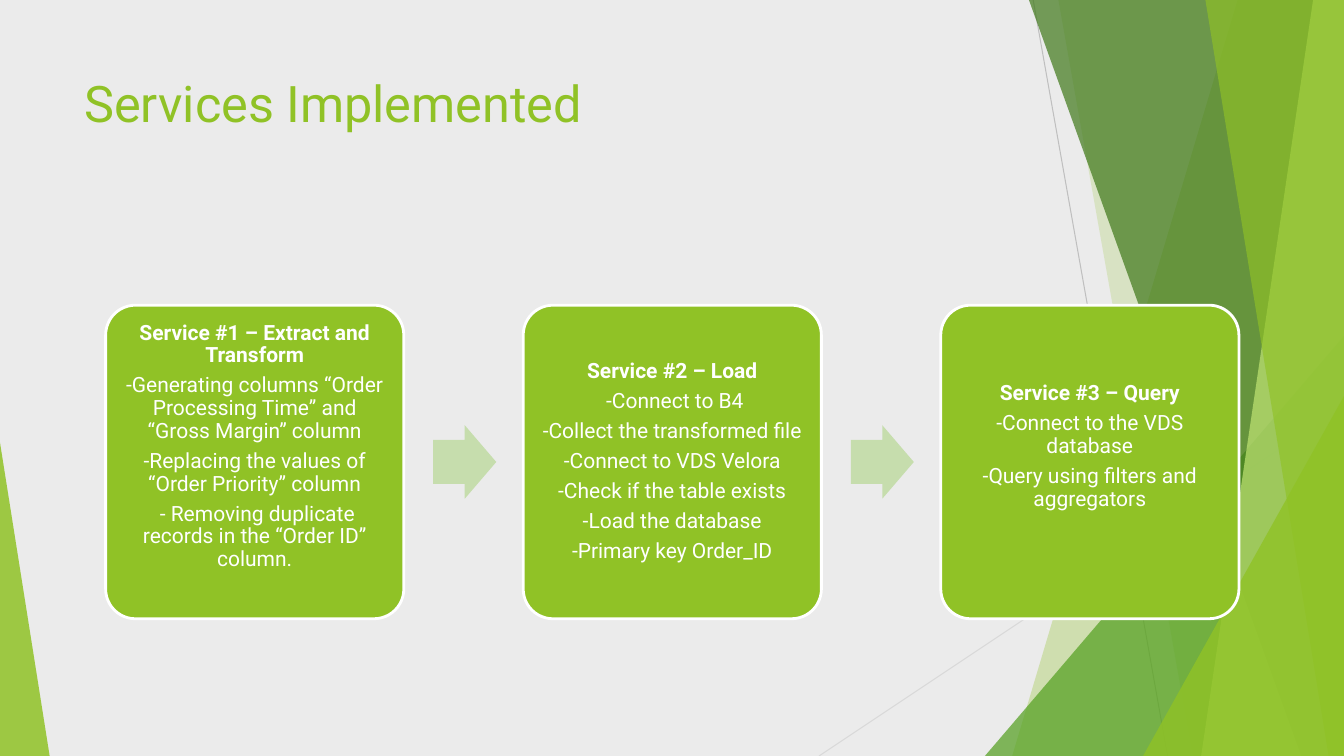
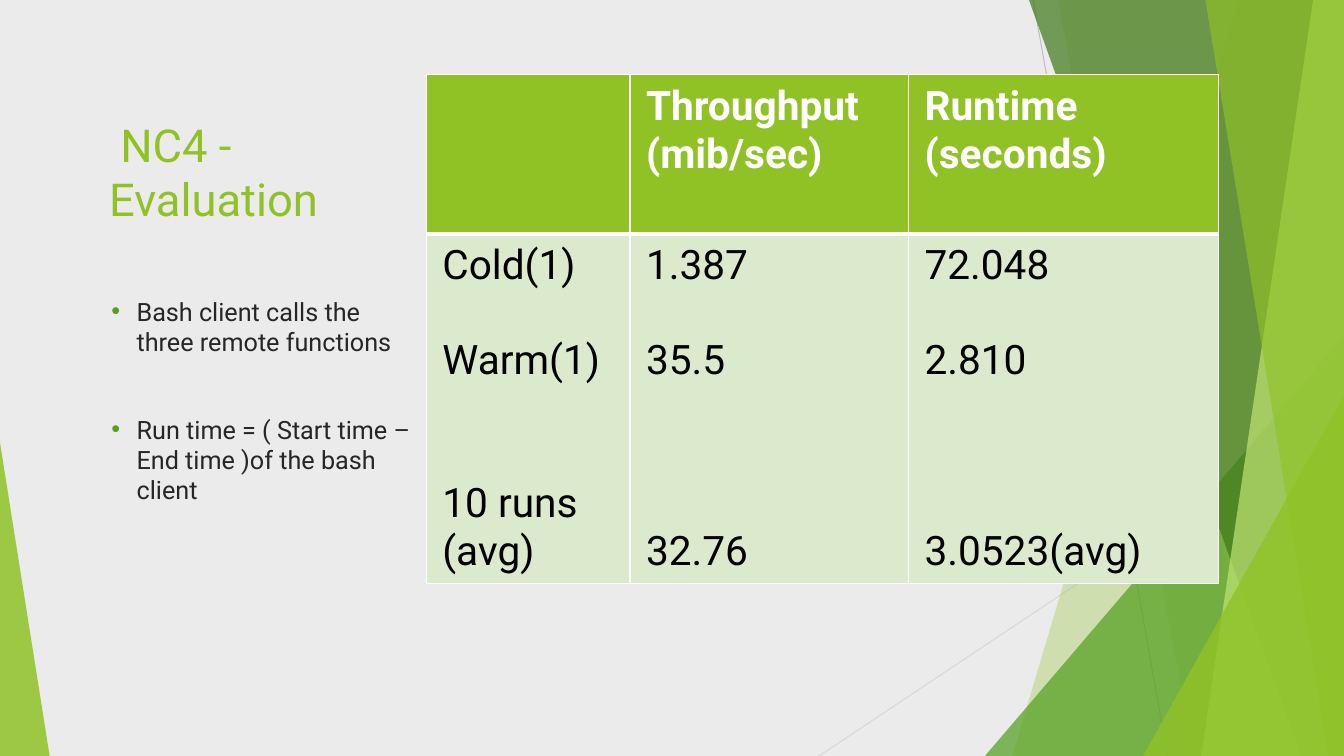
import lxml.etree
import pptx
import pptx.dml.color
import pptx.enum.shapes
import pptx.enum.text
import pptx.oxml
import pptx.oxml.ns
import pptx.util

Pt = pptx.util.Pt
qn = pptx.oxml.ns.qn
SHAPE = pptx.enum.shapes.MSO_SHAPE
ALIGN = pptx.enum.text.PP_ALIGN
ANCHOR = pptx.enum.text.MSO_ANCHOR

WIDTH, HEIGHT = 960, 540
FONT = "Roboto"
COLORS = {
    "background": "EBEBEB",
    "lime": "90C226",
    "green": "54A021",
    "forest": "3F7819",
    "pale": "C0E474",
    "arrow": "C6DDAD",
    "cell": "DBE9CD",
    "white": "FFFFFF",
    "black": "000000",
    "body": "262626",
    "ray": "BFBFBF",
    "faint ray": "D9D9D9",
}

RAYS = [((738, 0), (834, HEIGHT), "ray"),
        ((WIDTH, 290), (585, HEIGHT), "faint ray")]
# Facets: (top x, bottom x) of a panel reaching the right edge, or
# (left, top, width, apex) of a triangle standing on the bottom edge.
FACETS = [
    ((884, 723), "lime", 30),
    ((756, 852), "lime", 20),
    ((703.5, 240, 256.5, 1), "green", 72),
    ((735, 929.5), "forest", 70),
    ((938, 858), "pale", 70),
    ((861, 949), "lime", 65),
    ((816.5, 283, 143.5, 1), "lime", 80),
    ((0, 316, 35.5, 0), "lime", 85),
]

# Heading, steps, extra space kept free at the bottom of the card
SERVICES = [
    ("Service #1 – Extract and Transform",
     ["-Generating columns “Order Processing Time” and “Gross Margin” column",
      "-Replacing the values of “Order Priority” column",
      " - Removing duplicate records in the “Order ID” column."], 22),
    ("Service #2 – Load",
     [" -Connect to B4", "-Collect the transformed file",
      "-Connect to VDS Velora", "-Check if the table exists",
      "-Load the database", "-Primary key Order_ID"], 0),
    ("Service #3 – Query",
     ["-Connect to the VDS database",
      "-Query using filters and aggregators"], 22),
]

# Each cell holds (text, lines of space before it)
RESULTS = [
    [[], [("Throughput (mib/sec)", 0)], [("Runtime (seconds)", 0)]],
    [[("Cold(1)", 0), ("Warm(1)", 1), ("10 runs", 2), ("(avg)", 0)],
     [("1.387", 0), ("35.5", 1), ("32.76", 3)],
     [("72.048", 0), ("2.810", 1), ("3.0523(avg)", 3)]],
]
COLUMN_WIDTHS = [145.5, 199, 221.5]
ROW_HEIGHTS = [113.5, 250]

NOTES = [("Bash client calls the three remote functions", 0),
         ("Run time = ( Start time – End time )of the bash client", 41)]


def rgb(color):
    return pptx.dml.color.RGBColor.from_string(COLORS[color])


def apply(target, formats):
    for key, value in formats.items():
        setattr(target, key, value)


def points(*lengths):
    return [Pt(length) for length in lengths]


def margins(left, top, right, bottom):
    return {"margin_left": Pt(left), "margin_top": Pt(top),
            "margin_right": Pt(right), "margin_bottom": Pt(bottom)}


def fill(target, color):
    target.fill.solid()
    target.fill.fore_color.rgb = rgb(color)


def write(frame, index, text, size, color, bold=False, **formats):
    """Put text into paragraph number index, adding it when needed."""
    paragraph = frame.paragraphs[0] if index == 0 else frame.add_paragraph()
    apply(paragraph, formats)
    run = paragraph.add_run()
    run.text = text
    apply(run.font, {"name": FONT, "size": Pt(size), "bold": bold})
    run.font.color.rgb = rgb(color)
    return paragraph


def plain(shape, color):
    shape.shadow.inherit = False
    fill(shape, color)
    shape.line.fill.background()
    return shape


def add_ray(slide, start, end, color):
    ray = slide.shapes.add_connector(
        pptx.enum.shapes.MSO_CONNECTOR.STRAIGHT, *points(*start, *end))
    ray.line.color.rgb = rgb(color)
    ray.line.width = Pt(0.75)
    lxml.etree.SubElement(ray.element.spPr, qn("a:effectLst"))


def add_facet(slide, outline, color, opacity):
    if len(outline) == 2:
        top_x, bottom_x = outline
        builder = slide.shapes.build_freeform(*points(top_x, 0), scale=1.0)
        builder.add_line_segments(
            [points(WIDTH, 0), points(WIDTH, HEIGHT), points(bottom_x, HEIGHT)])
        facet = builder.convert_to_shape()
    else:
        left, top, width, apex = outline
        facet = slide.shapes.add_shape(
            SHAPE.ISOSCELES_TRIANGLE, *points(left, top, width, HEIGHT - top))
        facet.adjustments[0] = apex
    plain(facet, color)
    tone = facet.element.spPr.find(".//" + qn("a:srgbClr"))
    lxml.etree.SubElement(tone, qn("a:alpha")).set("val", str(opacity * 1000))


def add_titled_slide(deck, title, box, size, anchor, inset):
    slide = deck.slides.add_slide(deck.slide_layouts[5])
    for ray in RAYS:
        add_ray(slide, *ray)
    for facet in FACETS:
        add_facet(slide, *facet)
    heading = slide.shapes.title
    apply(heading, dict(zip(("left", "top", "width", "height"), points(*box))))
    frame = heading.text_frame
    apply(frame, {"word_wrap": True, "vertical_anchor": anchor,
                  "auto_size": pptx.enum.text.MSO_AUTO_SIZE.NONE,
                  **margins(*inset)})
    write(frame, 0, title, size, "lime", alignment=ALIGN.LEFT)
    return slide


def add_service_card(slide, box, heading, steps, spare):
    card = plain(slide.shapes.add_shape(
        SHAPE.ROUNDED_RECTANGLE, *points(*box)), "lime")
    card.adjustments[0] = 0.1
    card.line.color.rgb = rgb("white")
    card.line.width = Pt(2)
    frame = card.text_frame
    apply(frame, {"word_wrap": True, "vertical_anchor": ANCHOR.MIDDLE,
                  **margins(4, 4, 4, 4 + spare)})
    for index, text in enumerate([heading, *steps]):
        write(frame, index, text, 15, "white", bold=index == 0,
              alignment=ALIGN.CENTER, line_spacing=0.9, space_after=Pt(5.25))


def add_service_flow(slide, left, top, width, height):
    """Spread the cards over the box, with an arrow in each gap."""
    card_width, arrow_width, arrow_height = 213, 45, 52.5
    pitch = (width - card_width) / (len(SERVICES) - 1)
    for index, service in enumerate(SERVICES):
        x = left + index * pitch
        add_service_card(slide, (x, top, card_width, height), *service)
        if index < len(SERVICES) - 1:
            arrow = plain(slide.shapes.add_shape(SHAPE.RIGHT_ARROW, *points(
                x + card_width + 21, top + (height - arrow_height) / 2,
                arrow_width, arrow_height)), "arrow")
            arrow.adjustments[0] = 0.6
            # The arrow head takes half of the height.
            arrow.adjustments[1] = 0.5


def add_cell_borders(cell, widths):
    properties = cell._tc.get_or_add_tcPr()
    for side, width in zip("LRTB", widths):
        border = lxml.etree.SubElement(properties, qn("a:ln" + side))
        border.set("w", str(int(Pt(width))))
        paint = lxml.etree.SubElement(border, qn("a:solidFill"))
        lxml.etree.SubElement(paint, qn("a:srgbClr")).set("val", COLORS["white"])


def add_results_table(slide, left, top):
    table = slide.shapes.add_table(
        len(ROW_HEIGHTS), len(COLUMN_WIDTHS),
        *points(left, top, sum(COLUMN_WIDTHS), sum(ROW_HEIGHTS))).table
    table.horz_banding = False
    for column, width in zip(table.columns, COLUMN_WIDTHS):
        column.width = Pt(width)
    for row_index, (row, height) in enumerate(zip(table.rows, ROW_HEIGHTS)):
        row.height = Pt(height)
        header = row_index == 0
        for cell, entries in zip(row.cells, RESULTS[row_index]):
            apply(cell, margins(11.5, 5.75, 11.5, 5.75))
            add_cell_borders(cell, (1, 1, 1, 3) if header else (1, 1, 3, 1))
            fill(cell, "lime" if header else "cell")
            for index, (text, gap) in enumerate(entries):
                write(cell.text_frame, index, text, 29,
                      "white" if header else "black", bold=header,
                      space_before=Pt(34 * gap))


def add_notes_list(slide, *box):
    frame = slide.shapes.add_textbox(*points(*box)).text_frame
    frame.word_wrap = True
    for index, (text, gap) in enumerate(NOTES):
        paragraph = write(frame, index, text, 18, "body", space_before=Pt(gap))
        properties = paragraph._p.get_or_add_pPr()
        properties.set("marL", str(int(Pt(27))))
        properties.set("indent", str(int(Pt(-18))))
        tint = lxml.etree.SubElement(properties, qn("a:buClr"))
        lxml.etree.SubElement(tint, qn("a:srgbClr")).set("val", COLORS["green"])
        lxml.etree.SubElement(properties, qn("a:buFont")).set("typeface", "Arial")
        lxml.etree.SubElement(properties, qn("a:buChar")).set("char", "•")


def add_services_slide(deck):
    slide = add_titled_slide(deck, "Services Implemented", (53, 48, 677, 104),
                             36, ANCHOR.TOP, (7.2, 3.6, 7.2, 3.6))
    add_service_flow(slide, 75.5, 218, 809.5, 224)


def add_evaluation_slide(deck):
    slide = add_titled_slide(deck, " NC4 - Evaluation", (63.5, 75.5, 241, 94),
                             32.4, ANCHOR.MIDDLE, [14.4] * 4)
    add_results_table(slide, 304.5, 53.5)
    add_notes_list(slide, 63.5, 208, 241, 257)


def main():
    deck = pptx.Presentation()
    apply(deck, {"slide_width": Pt(WIDTH), "slide_height": Pt(HEIGHT)})
    fill(deck.slide_layouts[5].background, "background")
    add_services_slide(deck)
    add_evaluation_slide(deck)
    deck.save("out.pptx")


if __name__ == "__main__":
    main()
